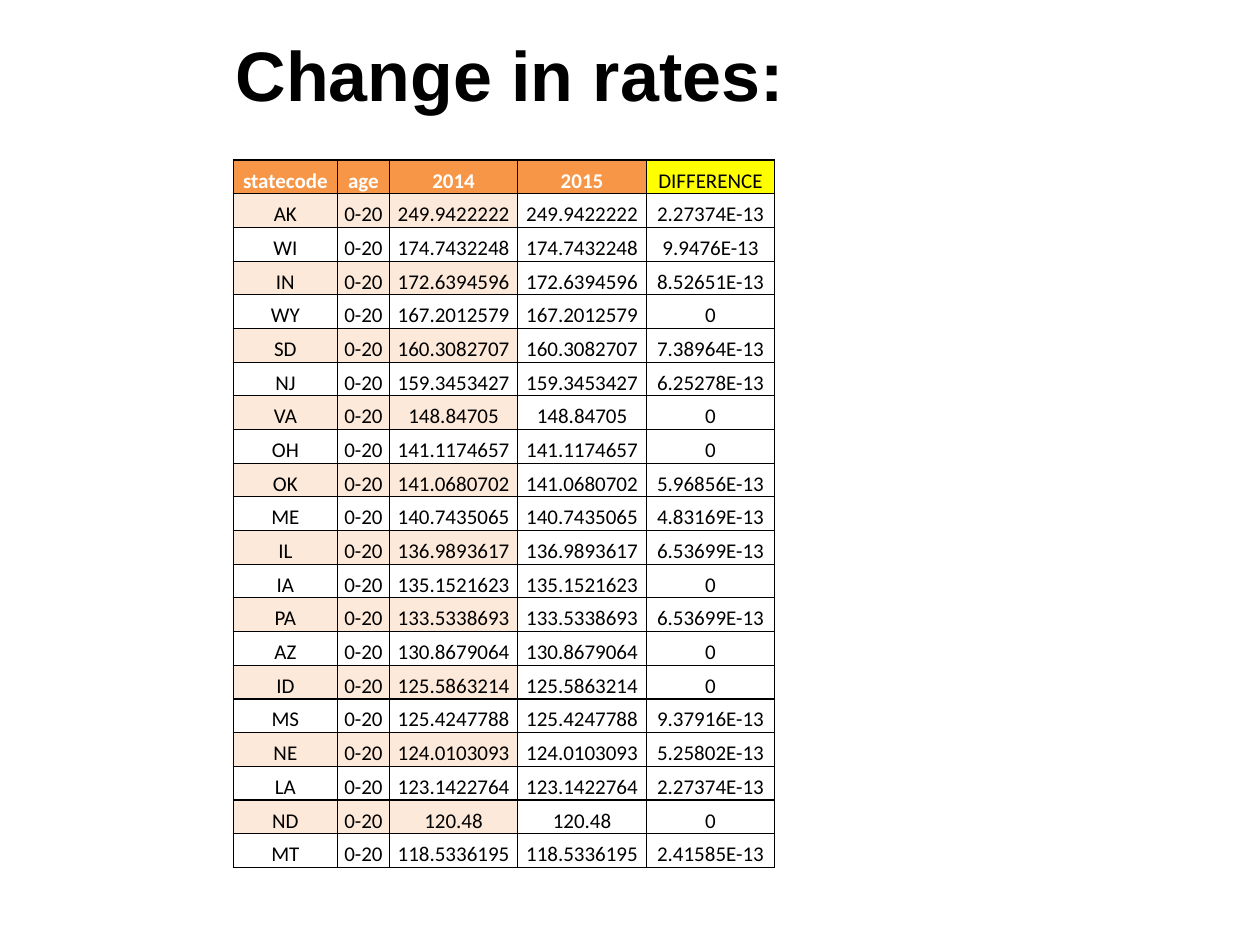
from dataclasses import dataclass

from lxml.etree import SubElement
from pptx import Presentation
from pptx.dml.color import RGBColor
from pptx.enum.text import MSO_ANCHOR, PP_ALIGN
from pptx.oxml.ns import qn
from pptx.util import Inches, Pt


@dataclass(frozen=True)
class Theme:
    title_font: str = "Arial"
    table_font: str = "Calibri"
    title_size: float = 40
    table_size: float = 12
    border_width: float = 0.75
    ink: str = "000000"
    header_ink: str = "FFFFFF"
    header_fill: str = "F79646"
    band_fill: str = "FDE9D9"
    highlight_fill: str = "FFFF00"


AGE = "0-20"
HEADERS = ["statecode", "age", "2014", "2015", "DIFFERENCE"]
COLUMN_WIDTHS = [0.83, 0.41, 1.02, 1.02, 1.02]
BANDED_COLUMNS = 3
RATES = [
    ("AK", "249.9422222", "2.27374E-13"),
    ("WI", "174.7432248", "9.9476E-13"),
    ("IN", "172.6394596", "8.52651E-13"),
    ("WY", "167.2012579", "0"),
    ("SD", "160.3082707", "7.38964E-13"),
    ("NJ", "159.3453427", "6.25278E-13"),
    ("VA", "148.84705", "0"),
    ("OH", "141.1174657", "0"),
    ("OK", "141.0680702", "5.96856E-13"),
    ("ME", "140.7435065", "4.83169E-13"),
    ("IL", "136.9893617", "6.53699E-13"),
    ("IA", "135.1521623", "0"),
    ("PA", "133.5338693", "6.53699E-13"),
    ("AZ", "130.8679064", "0"),
    ("ID", "125.5863214", "0"),
    ("MS", "125.4247788", "9.37916E-13"),
    ("NE", "124.0103093", "5.25802E-13"),
    ("LA", "123.1422764", "2.27374E-13"),
    ("ND", "120.48", "0"),
    ("MT", "118.5336195", "2.41585E-13"),
]


class SlideBuilder:
    def __init__(self, page, theme):
        self.page = page
        self.theme = theme

    def style_text(self, paragraph, font, size, color, bold, align):
        paragraph.alignment = align
        paragraph.font.name = font
        paragraph.font.size = Pt(size)
        paragraph.font.bold = bold
        paragraph.font.color.rgb = RGBColor.from_string(color)

    def title(self, text, left, top, width, height):
        box = self.page.shapes.title
        box.left, box.top = Inches(left), Inches(top)
        box.width, box.height = Inches(width), Inches(height)
        frame = box.text_frame
        frame.text = text
        frame.word_wrap = True
        frame.vertical_anchor = MSO_ANCHOR.MIDDLE
        self.style_text(frame.paragraphs[0], self.theme.title_font,
                        self.theme.title_size, self.theme.ink, True, PP_ALIGN.LEFT)

    def table(self, rows, widths, left, top, height):
        frame = self.page.shapes.add_table(
            len(rows), len(widths), Inches(left), Inches(top),
            Inches(sum(widths)), Inches(height))
        table = frame.table
        table.first_row = False
        table.horz_banding = False
        for column, width in zip(table.columns, widths):
            column.width = Inches(width)
        for row_index, values in enumerate(rows):
            table.rows[row_index].height = Inches(height / len(rows))
            for column_index, value in enumerate(values):
                self.cell(table.cell(row_index, column_index), value,
                          *self.cell_style(row_index, column_index))

    def cell_style(self, row, column):
        theme = self.theme
        if row == 0 and column == len(HEADERS) - 1:
            return theme.highlight_fill, theme.ink, False
        if row == 0:
            return theme.header_fill, theme.header_ink, True
        banded = row % 2 == 1 and column < BANDED_COLUMNS
        return theme.band_fill if banded else None, theme.ink, False

    def cell(self, cell, text, fill, color, bold):
        cell.text = text
        cell.vertical_anchor = MSO_ANCHOR.BOTTOM
        cell.margin_left = cell.margin_right = cell.margin_top = Inches(0.01)
        cell.margin_bottom = 0
        self.style_text(cell.text_frame.paragraphs[0], self.theme.table_font,
                        self.theme.table_size, color, bold, PP_ALIGN.CENTER)
        self.borders(cell)
        if fill:
            cell.fill.solid()
            cell.fill.fore_color.rgb = RGBColor.from_string(fill)
        else:
            cell.fill.background()

    def borders(self, cell):
        properties = cell._tc.get_or_add_tcPr()
        for side in ("a:lnL", "a:lnR", "a:lnT", "a:lnB"):
            line = SubElement(properties, qn(side), w=str(Pt(self.theme.border_width)))
            solid = SubElement(line, qn("a:solidFill"))
            SubElement(solid, qn("a:srgbClr"), val=self.theme.ink)


def main():
    deck = Presentation()
    deck.slide_width, deck.slide_height = Inches(10), Inches(7.5)
    page = deck.slides.add_slide(deck.slide_layouts[5])
    builder = SlideBuilder(page, Theme())
    builder.title("Change in rates:", 1.77, 0, 8.23, 1.17)
    rows = [HEADERS] + [[state, AGE, rate, rate, difference]
                        for state, rate, difference in RATES]
    builder.table(rows, COLUMN_WIDTHS, 1.85, 1.27, 5.62)
    deck.save("out.pptx")


if __name__ == "__main__":
    main()
